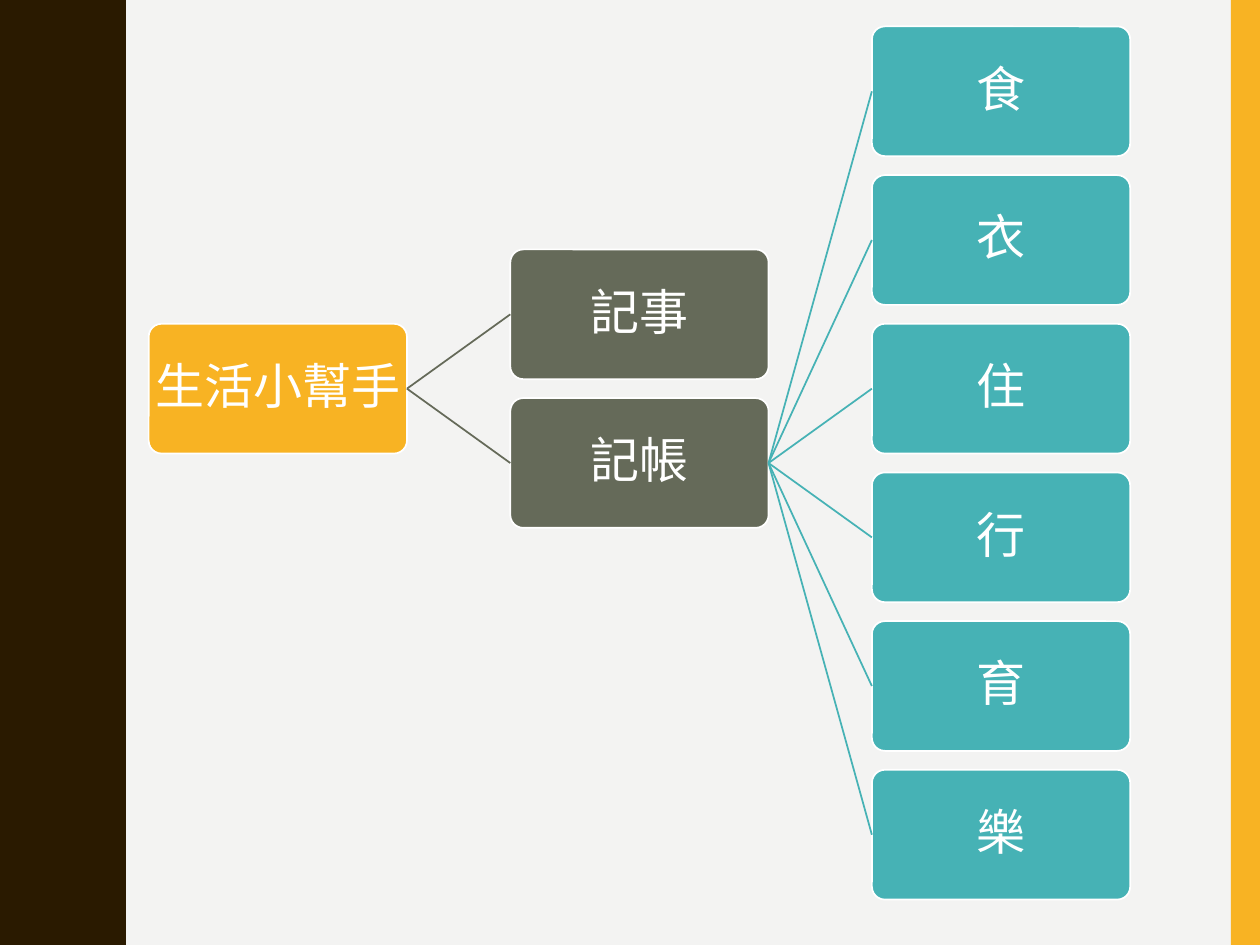
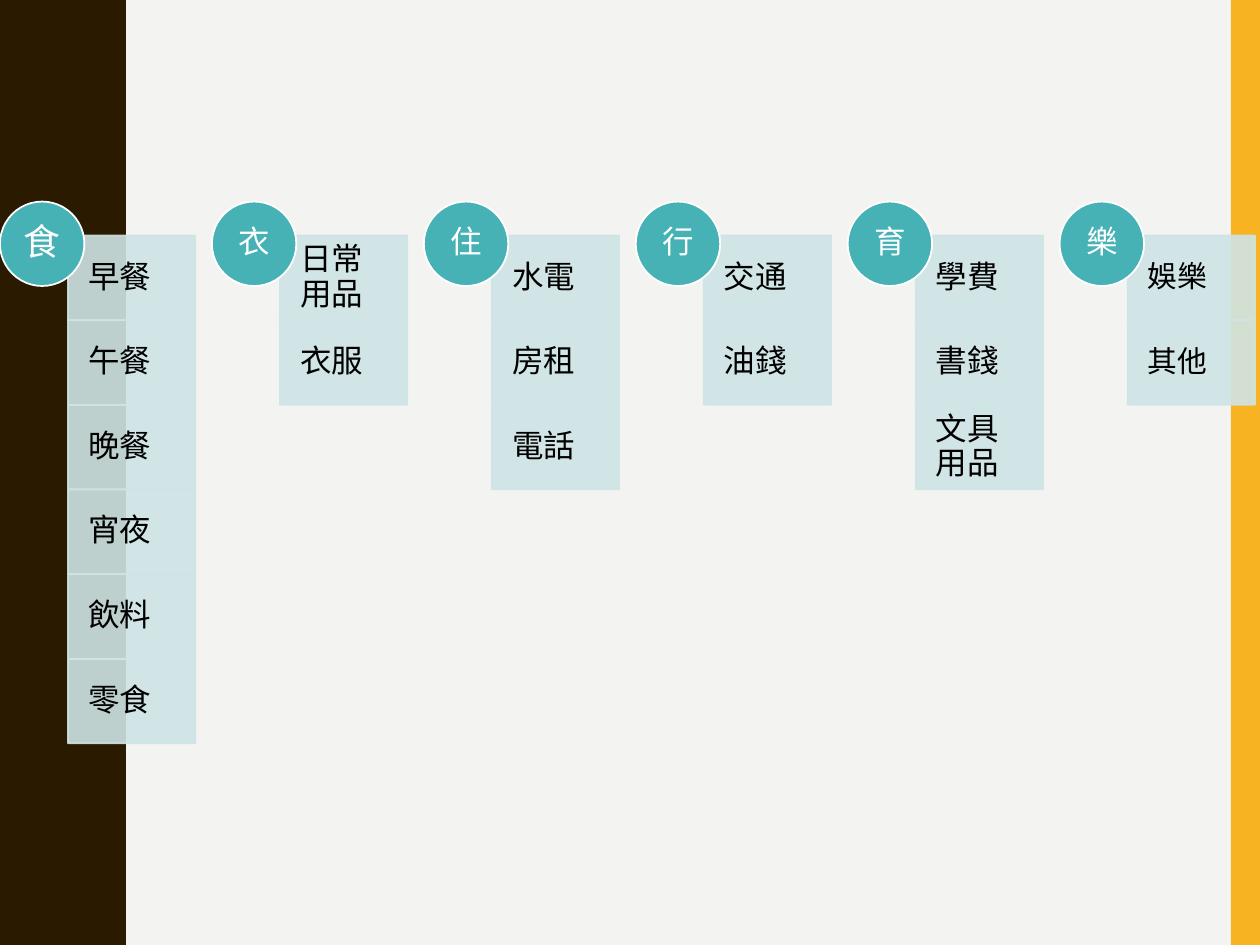
from dataclasses import dataclass

from pptx import Presentation
from pptx.dml.color import RGBColor
from pptx.enum.shapes import MSO_CONNECTOR, MSO_SHAPE
from pptx.enum.text import MSO_ANCHOR, PP_ALIGN
from pptx.oxml.ns import qn
from pptx.oxml.xmlchemy import OxmlElement
from pptx.util import Inches, Pt


@dataclass(frozen=True)
class Theme:
    """Colours, font and type sizes of the deck."""
    paper: str = "F3F3F2"
    gold: str = "F8B323"
    brown: str = "2A1A00"
    olive: str = "656A59"
    teal: str = "46B2B5"
    pale: str = "CFE4E5"
    white: str = "FFFFFF"
    black: str = "000000"
    font: str = "Calibri"
    large: int = 28
    head: int = 21
    text: int = 18
    small: int = 17
    line: int = 1
    alpha: int = 90


@dataclass(frozen=True)
class Grid:
    """Origin, steps and cell size in inches."""
    left: float
    top: float
    step_x: float
    step_y: float
    width: float
    height: float

    def cell(self, col, row):
        """Return left, top, width and height of a cell."""
        box = (self.left + col * self.step_x, self.top + row * self.step_y,
               self.width, self.height)
        return [Inches(part) for part in box]


WIDTH, HEIGHT = 10, 7.5
TREE = Grid(1.18, 0.21, 2.87, 1.18, 2.05, 1.03)
STEP = 8.41 / 5
DISCS = Grid(0, 1.6, STEP, 0, 0.67, 0.67)
CELLS = Grid(0.54, 1.87, STEP, 3.36 / 5, 1.01, 0.67)

ROOT = "生活小幫手"
TASKS = ["記事", "記帳"]
COSTS = {
    "食": ["早餐", "午餐", "晚餐", "宵夜", "飲料", "零食"],
    "衣": ["日常用品", "衣服"],
    "住": ["水電", "房租", "電話"],
    "行": ["交通", "油錢"],
    "育": ["學費", "書錢", "文具用品"],
    "樂": ["娛樂", "其他"],
}


def wave(near, far, half, count, steps=12):
    """Return points of a wavy edge running down the slide."""
    points = []
    for turn in range(count):
        start, end = (near, far) if turn % 2 == 0 else (far, near)
        for step in range(steps):
            t = step / steps
            x = start + (end - start) * (3 * t ** 2 - 2 * t ** 3)
            y = half * (turn + 1.5 * t * (1 - t) + t ** 3)
            points.append((x, y))
    return points + [(near, half * count)]


class Deck:
    """Hold the style and the current slide."""

    def __init__(self, theme):
        """Open a deck and set its size."""
        self.theme = theme
        self.show = Presentation()
        self.show.slide_width = Inches(WIDTH)
        self.show.slide_height = Inches(HEIGHT)
        self.slide = None

    def page(self):
        """Add a blank slide and make it current."""
        self.slide = self.show.slides.add_slide(self.show.slide_layouts[6])

    def paint(self, shape, fill, line=None):
        """Set fill and line, without a shadow."""
        shape.shadow.inherit = False
        shape.fill.solid()
        shape.fill.fore_color.rgb = RGBColor.from_string(fill)
        if line:
            shape.line.color.rgb = RGBColor.from_string(line)
            shape.line.width = Pt(self.theme.line)
        else:
            shape.line.fill.background()

    def frame(self):
        """Put paper, band and wavy edge on the master."""
        master = self.show.slide_master
        fill = master.background.fill
        fill.solid()
        fill.fore_color.rgb = RGBColor.from_string(self.theme.paper)
        shapes = self.slide.shapes
        band = shapes.add_shape(MSO_SHAPE.RECTANGLE, Inches(9.77), 0,
                                Inches(0.23), Inches(HEIGHT))
        self.paint(band, self.theme.gold)
        pen = shapes.build_freeform(0, 0, scale=Inches(1))
        pen.add_line_segments(wave(0.55, 0.74, HEIGHT / 10, 10) + [(0, HEIGHT)])
        edge = pen.convert_to_shape()
        self.paint(edge, self.theme.brown)
        for shape in (edge, band):
            master.shapes.element.insert(2, shape.element)

    def label(self, shape, text, size, color, align, inset):
        """Set one line of text inside a shape."""
        frame = shape.text_frame
        frame.word_wrap = True
        frame.vertical_anchor = MSO_ANCHOR.MIDDLE
        (frame.margin_left, frame.margin_top,
         frame.margin_right, frame.margin_bottom) = map(Inches, inset)
        line = frame.paragraphs[0]
        line.text = text
        line.alignment = align
        line.line_spacing = 0.9
        line.font.name = self.theme.font
        line.font.size = Pt(size)
        line.font.color.rgb = RGBColor.from_string(color)

    def node(self, text, col, row, fill):
        """Add a rounded box of the tree."""
        box = self.slide.shapes.add_shape(MSO_SHAPE.ROUNDED_RECTANGLE,
                                          *TREE.cell(col, row))
        box.adjustments[0] = 0.1
        self.paint(box, fill, self.theme.white)
        self.label(box, text, self.theme.large, self.theme.white,
                   PP_ALIGN.CENTER, [0.01] * 4)
        return box

    def link(self, start, end, color):
        """Join the right side of a box to the left of another."""
        line = self.slide.shapes.add_connector(MSO_CONNECTOR.STRAIGHT, 0, 0, 0, 0)
        line.begin_connect(start, 3)
        line.end_connect(end, 1)
        line.line.color.rgb = RGBColor.from_string(color)
        line.line.width = Pt(self.theme.line)
        line.element.spPr.append(OxmlElement("a:effectLst"))

    def branch(self, start, names, col, row, color):
        """Add a column of linked nodes and return them."""
        nodes = [self.node(name, col, row + i, color)
                 for i, name in enumerate(names)]
        for node in nodes:
            self.link(start, node, color)
        return nodes

    def item(self, text, col, row, size):
        """Add a see-through list cell."""
        box = self.slide.shapes.add_shape(MSO_SHAPE.RECTANGLE,
                                          *CELLS.cell(col, row))
        self.paint(box, self.theme.pale, self.theme.pale)
        for color in list(box.element.spPr.iter(qn("a:srgbClr"))):
            alpha = OxmlElement("a:alpha")
            alpha.set("val", str(self.theme.alpha * 1000))
            color.append(alpha)
        self.label(box, text, size, self.theme.black, PP_ALIGN.LEFT,
                   [0.16, 0.14, 0.14, 0.14])

    def disc(self, text, col, size):
        """Add the round head of a list."""
        disc = self.slide.shapes.add_shape(MSO_SHAPE.OVAL, *DISCS.cell(col, 0))
        self.paint(disc, self.theme.teal, self.theme.white)
        self.label(disc, text, size, self.theme.white, PP_ALIGN.CENTER, [0] * 4)


def tree(deck):
    """Draw the tree of tasks and costs."""
    theme = deck.theme
    root = deck.node(ROOT, 0, 2, theme.gold)
    tasks = deck.branch(root, TASKS, 1, 1.5, theme.olive)
    deck.branch(tasks[-1], COSTS, 2, 0, theme.teal)


def lists(deck):
    """Draw one list for each kind of cost."""
    theme = deck.theme
    last = len(COSTS) - 1
    for col, (head, items) in enumerate(COSTS.items()):
        for row, text in enumerate(items):
            deck.item(text, col, row, theme.small if col == last else theme.text)
        deck.disc(head, col, theme.text if col else theme.head)


def main():
    """Build and save the deck."""
    deck = Deck(Theme())
    deck.page()
    deck.frame()
    tree(deck)
    deck.page()
    lists(deck)
    deck.show.save("out.pptx")


main()
